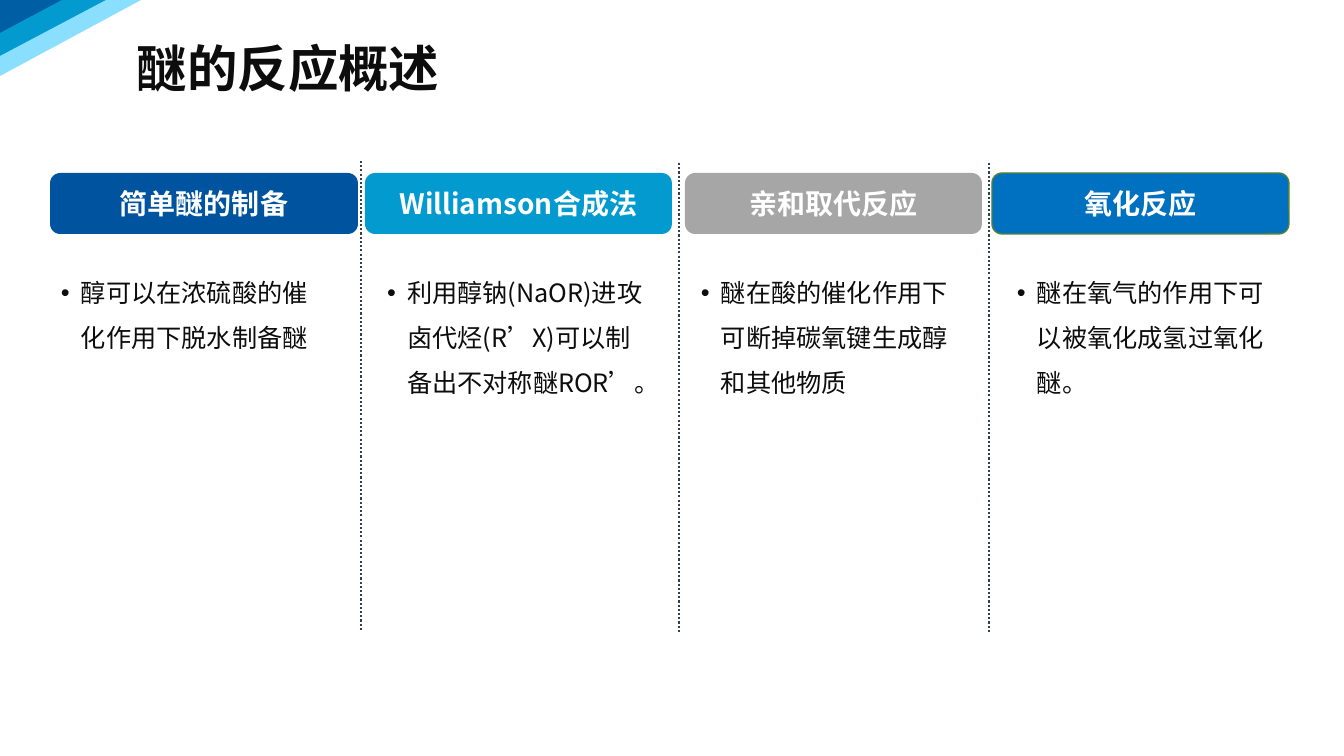
from pptx import Presentation
from pptx.dml.color import RGBColor
from pptx.enum.dml import MSO_LINE
from pptx.enum.shapes import MSO_CONNECTOR, MSO_SHAPE
from pptx.enum.text import MSO_ANCHOR, MSO_AUTO_SIZE, PP_ALIGN
from pptx.oxml.ns import qn
from pptx.util import Pt
from lxml import etree

PX = 914400 / 100.8
FONT = "Noto Sans CJK SC"
COMPARISON_LAYOUT = 4
LEFT, CENTER = PP_ALIGN.LEFT, PP_ALIGN.CENTER
TOP, MIDDLE = MSO_ANCHOR.TOP, MSO_ANCHOR.MIDDLE
ROUNDED = MSO_SHAPE.ROUNDED_RECTANGLE
STRAIGHT = MSO_CONNECTOR.STRAIGHT
DOTTED = MSO_LINE.ROUND_DOT
NO_AUTOFIT = MSO_AUTO_SIZE.NONE

COLORS = {
    "navy": "005EA4",
    "cyan": "039ACF",
    "sky": "89DFFD",
    "deep_blue": "00539E",
    "gray": "A6A6A6",
    "blue": "0070C0",
    "green": "548235",
    "slate": "333F50",
    "ink": "0D0D0D",
    "white": "FFFFFF",
}

CORNER_BANDS = [
    ("navy", [(0, 36), (0, 0), (69, 0)]),
    ("cyan", [(0, 61), (0, 33), (62, 0), (114, 0)]),
    ("sky", [(0, 76), (0, 56), (106, 0), (141, 0)]),
]

# heading, fill, outline, heading left and width, list left, list text
REACTIONS = [
    ("简单醚的制备", "deep_blue", None, 50, 308, 51,
     "醇可以在浓硫酸的催化作用下脱水制备醚"),
    ("Williamson合成法", "cyan", None, 365, 307, 377,
     "利用醇钠(NaOR)进攻卤代烃(R’X)可以制备出不对称醚ROR’。"),
    ("亲和取代反应", "gray", None, 685, 297, 691,
     "醚在酸的催化作用下可断掉碳氧键生成醇和其他物质"),
    ("氧化反应", "blue", "green", 992, 297, 1007,
     "醚在氧气的作用下可以被氧化成氢过氧化醚。"),
]

# x, top, bottom
DIVIDERS = [(361, 161, 632), (679, 163, 633), (989, 163, 633)]


def px(length):
    return round(length * PX)


def color(name):
    return RGBColor.from_string(COLORS[name])


def place(shape, left, top, width, height):
    shape.left, shape.top = px(left), px(top)
    shape.width, shape.height = px(width), px(height)


def write(shape, text, size, ink="ink", bold=False, align=LEFT, anchor=TOP, wrap=True):
    """Fill the shape with one formatted paragraph and return it."""
    frame = shape.text_frame
    frame.auto_size = NO_AUTOFIT
    frame.word_wrap = wrap
    frame.vertical_anchor = anchor
    frame.margin_left = frame.margin_right = px(10)
    frame.margin_top = frame.margin_bottom = px(5)
    paragraph = frame.paragraphs[0]
    paragraph.alignment = align
    run = paragraph.add_run()
    run.text = text
    font = run.font
    font.name, font.size, font.bold = FONT, Pt(size), bold
    font.color.rgb = color(ink)
    properties = font._element
    properties.set("lang", "zh-CN")
    east_asian = etree.SubElement(properties, qn("a:ea"))
    east_asian.set("typeface", FONT)
    return paragraph


def add_corner_band(slide, fill, points):
    builder = slide.shapes.build_freeform(*points[0], scale=PX)
    builder.add_line_segments(points[1:], close=True)
    band = builder.convert_to_shape()
    band.shadow.inherit = False
    band.fill.solid()
    band.fill.fore_color.rgb = color(fill)
    band.line.fill.background()


def add_heading(slide, text, fill, outline, left, width):
    heading = slide.shapes.add_shape(ROUNDED, px(left), px(173), px(width), px(61))
    heading.shadow.inherit = False
    heading.fill.solid()
    heading.fill.fore_color.rgb = color(fill)
    if outline:
        heading.line.color.rgb = color(outline)
        heading.line.width = Pt(1)
    else:
        heading.line.fill.background()
    write(heading, text, 20, ink="white", bold=True, align=CENTER, anchor=MIDDLE)


def add_divider(slide, x, top, bottom):
    divider = slide.shapes.add_connector(STRAIGHT, px(x), px(top), px(x), px(bottom))
    divider.line.color.rgb = color("slate")
    divider.line.width = Pt(1.5)
    divider.line.dash_style = DOTTED
    etree.SubElement(divider._element.spPr, qn("a:effectLst"))


def fill_list(body, text, left):
    place(body, left, 258, 285, 142)
    paragraph = write(body, text, 18)
    paragraph.line_spacing = Pt(32)
    paragraph.space_before = Pt(2)
    properties = paragraph._p.get_or_add_pPr()
    properties.set("marL", str(px(20)))
    properties.set("indent", str(px(-20)))
    bullet_font = etree.SubElement(properties, qn("a:buFont"))
    bullet_font.set("typeface", "Arial")
    bullet = etree.SubElement(properties, qn("a:buChar"))
    bullet.set("char", "•")


def main():
    deck = Presentation()
    deck.slide_width, deck.slide_height = px(1344), px(756)
    slide = deck.slides.add_slide(deck.slide_layouts[COMPARISON_LAYOUT])
    title, *bodies = slide.placeholders

    for fill, points in CORNER_BANDS:
        add_corner_band(slide, fill, points)

    place(title, 127, 31, 326, 72)
    write(title, "醚的反应概述", 36, bold=True, anchor=MIDDLE, wrap=False)

    for body, reaction in zip(bodies, REACTIONS):
        heading, fill, outline, left, width, list_left, summary = reaction
        add_heading(slide, heading, fill, outline, left, width)
        fill_list(body, summary, list_left)

    for x, top, bottom in DIVIDERS:
        add_divider(slide, x, top, bottom)

    deck.save("out.pptx")


if __name__ == "__main__":
    main()
